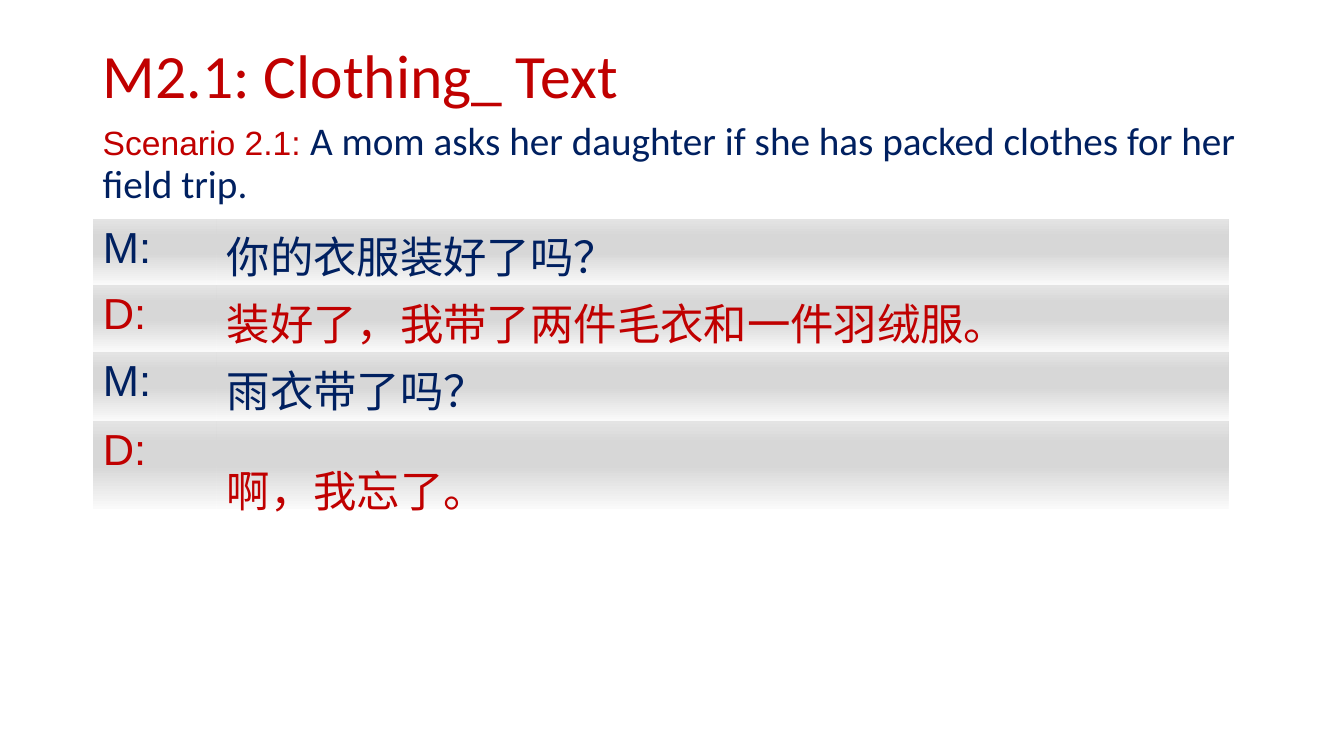
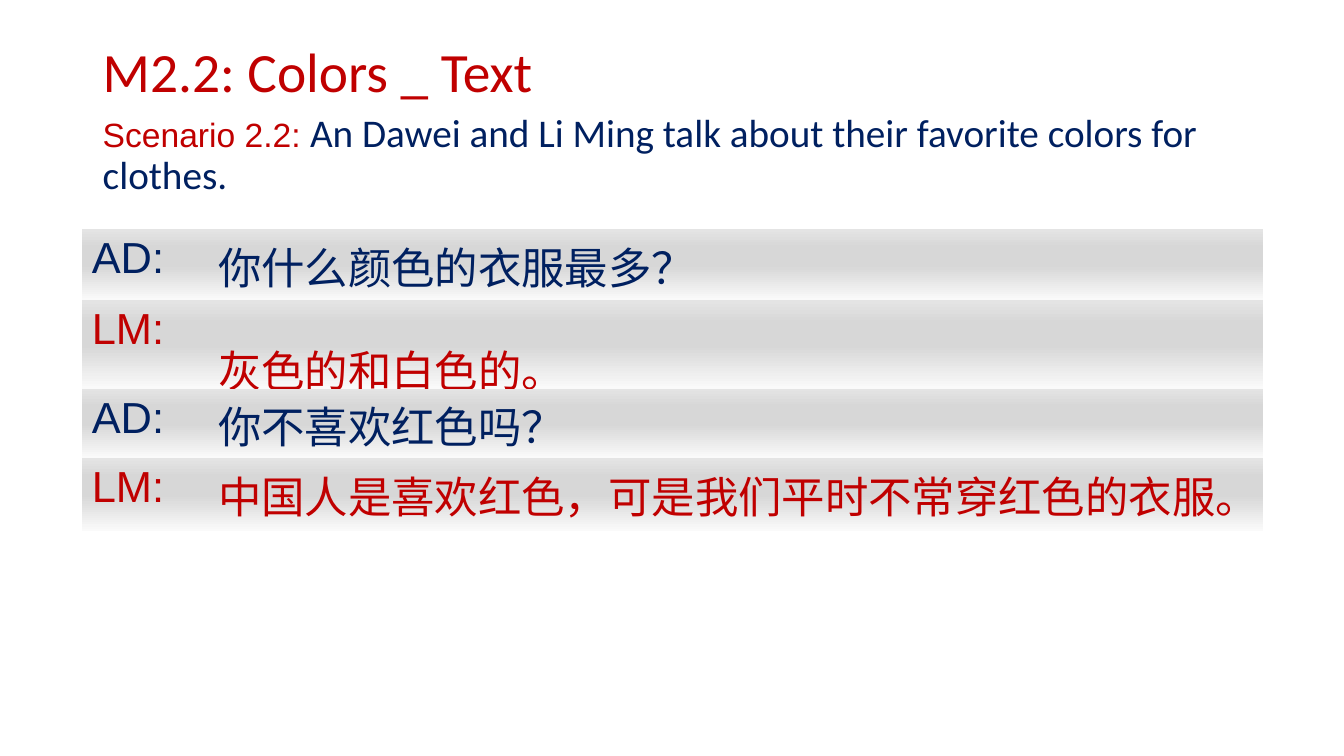
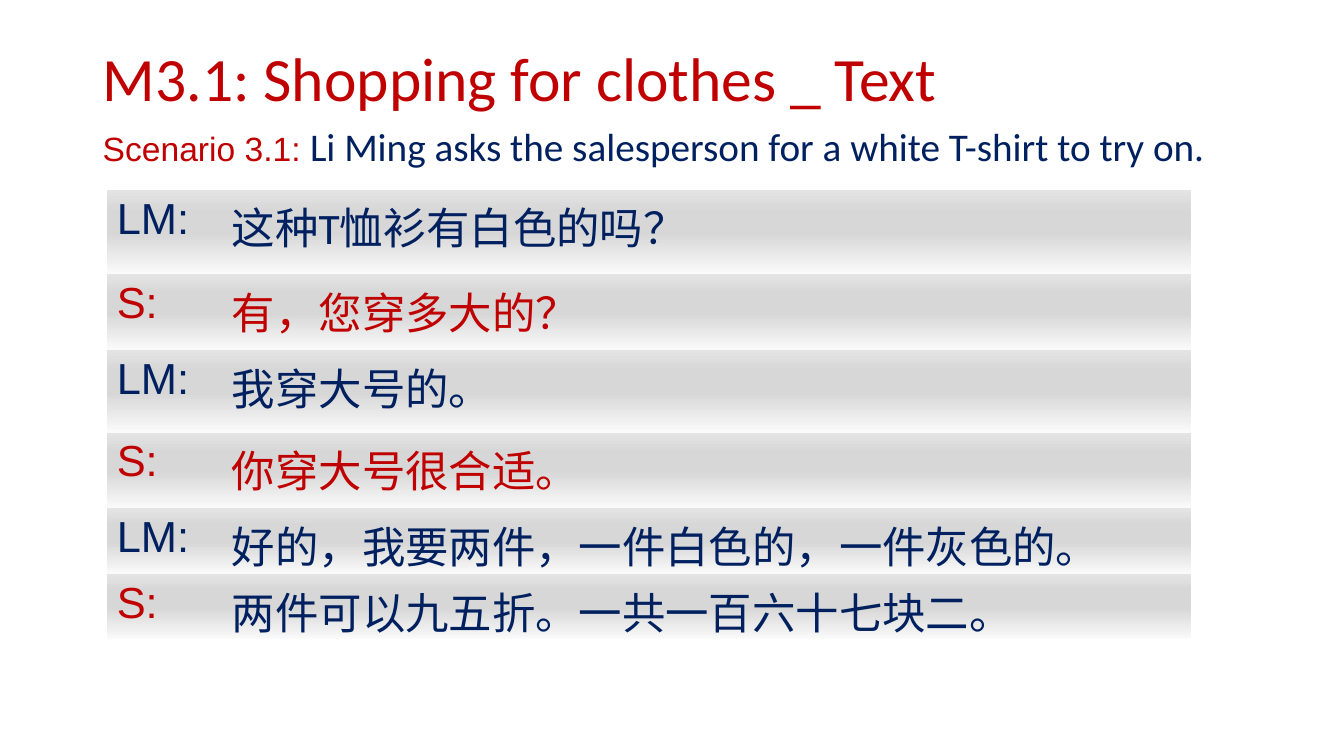
from lxml.etree import SubElement
from pptx import Presentation
from pptx.dml.color import RGBColor
from pptx.enum.text import MSO_ANCHOR
from pptx.oxml.ns import qn
from pptx.util import Cm, Pt

RED, NAVY = "C00000", "002060"
BAND_STOPS = [(0, "FAFAFA"), (49, "D7D7D7"), (74, "D7D7D7"), (100, "E4E4E4")]
PLAIN_TABLE = "{2D5ABB26-0587-4C30-8999-92F81FD0307C}"


def rgb(value):
    return RGBColor.from_string(value)


class Deck:
    heading_font, label_font = "Calibri", "Arial"
    left, top, width = 2.34, 1.02, 29.21

    def __init__(self):
        self.prs = Presentation()
        self.prs.slide_width, self.prs.slide_height = Cm(33.87), Cm(19.05)

    def add_slide(self):
        self.s = self.prs.slides.add_slide(self.prs.slide_layouts[6])

    def style(self, r, font, size, color):
        r.font.name, r.font.size = font, Pt(size)
        r.font.color.rgb = rgb(color)

    def text_box(self, top, width, height):
        sp = self.s.shapes.add_textbox(Cm(self.left), Cm(top), Cm(width), Cm(height))
        tf = sp.text_frame
        tf.word_wrap = True
        tf.paragraphs[0].line_spacing = 0.9
        return tf

    def title(self, text, height, size=44):
        tf = self.text_box(self.top, self.width, height)
        tf.vertical_anchor = MSO_ANCHOR.MIDDLE
        p = tf.paragraphs[0]
        p.text = text
        self.style(p.runs[0], self.heading_font, size, RED)

    def scenario(self, label, text, title_height, height, width=width):
        p = self.text_box(self.top + title_height, width, height).paragraphs[0]
        for part, font, size, color in (
            (label, self.label_font, 24, RED),
            (text, self.heading_font, 28, NAVY),
        ):
            r = p.add_run()
            r.text = part
            self.style(r, font, size, color)

    def band(self, cell):
        grad = SubElement(cell._tc.get_or_add_tcPr(), qn("a:gradFill"), rotWithShape="1")
        stops = SubElement(grad, qn("a:gsLst"))
        for percent, color in BAND_STOPS:
            stop = SubElement(stops, qn("a:gs"), pos=str(percent * 1000))
            SubElement(stop, qn("a:srgbClr"), val=color)
        SubElement(grad, qn("a:lin"), ang=str(270 * 60000), scaled="0")

    def cell(self, cell, text, font, color, spacing=None):
        p = cell.text_frame.paragraphs[0]
        p.text = text
        p.line_spacing = spacing
        self.style(p.runs[0], font, 31, color)
        self.band(cell)

    def dialogue(self, left, top, widths, speakers, lines, spaced=None, navy=None):
        height = sum(row_height for row_height, _ in lines)
        frame = self.s.shapes.add_table(
            len(lines), 2, Cm(left), Cm(top), Cm(sum(widths)), Cm(height))
        table = frame.table
        table.first_row = table.horz_banding = False
        table._tbl.tblPr.find(qn("a:tableStyleId")).text = PLAIN_TABLE
        for column, width in zip(table.columns, widths):
            column.width = Cm(width)
        for i, (row_height, line) in enumerate(lines):
            table.rows[i].height = Cm(row_height)
            color = (NAVY, RED)[i % 2]
            self.cell(table.cell(i, 0), speakers[i % 2], self.label_font, color)
            self.cell(table.cell(i, 1), line, self.heading_font,
                      NAVY if i == navy else color, 1.5 if i == spaced else None)


def main():
    deck = Deck()

    deck.add_slide()
    deck.title("M2.1: Clothing_ Text", 1.93)
    deck.scenario("Scenario 2.1: ",
                  "A mom asks her daughter if she has packed clothes for her field trip.",
                  1.93, 14.22)
    deck.dialogue(2.34, 5.51, (3.12, 25.5), ("M:", "D:"), [
        (1.68, "你的衣服装好了吗？"),
        (1.68, "装好了，我带了两件毛衣和一件羽绒服。"),
        (1.73, "雨衣带了吗？"),
        (1.8, "啊，我忘了。"),
    ], spaced=3)

    deck.add_slide()
    deck.title("M2.2: Colors _ Text", 1.72, 39.6)
    deck.scenario("Scenario 2.2: ",
                  "An Dawei and Li Ming talk about their favorite colors for clothes.",
                  1.72, 12.09, 29.77)
    deck.dialogue(2.06, 5.77, (3.18, 26.59), ("AD:", "LM:"), [
        (1.8, "你什么颜色的衣服最多？"),
        (1.73, "灰色的和白色的。"),
        (1.75, "你不喜欢红色吗？"),
        (1.83, "中国人是喜欢红色，可是我们平时不常穿红色的衣服。"),
    ], spaced=1)

    deck.add_slide()
    deck.title("M3.1: Shopping for clothes _ Text", 2.08)
    deck.scenario("Scenario 3.1: ",
                  "Li Ming asks the salesperson for a white T-shirt to try on.",
                  2.08, 14.07)
    deck.dialogue(2.69, 4.78, (2.9, 24.43), ("LM:", "S:"), [
        (2.13, "这种T恤衫有白色的吗？"),
        (1.91, "有，您穿多大的？"),
        (2.08, "我穿大号的。"),
        (1.91, "你穿大号很合适。"),
        (1.65, "好的，我要两件，一件白色的，一件灰色的。"),
        (1.65, "两件可以九五折。一共一百六十七块二。"),
    ], navy=5)

    deck.prs.save("out.pptx")


if __name__ == "__main__":
    main()
